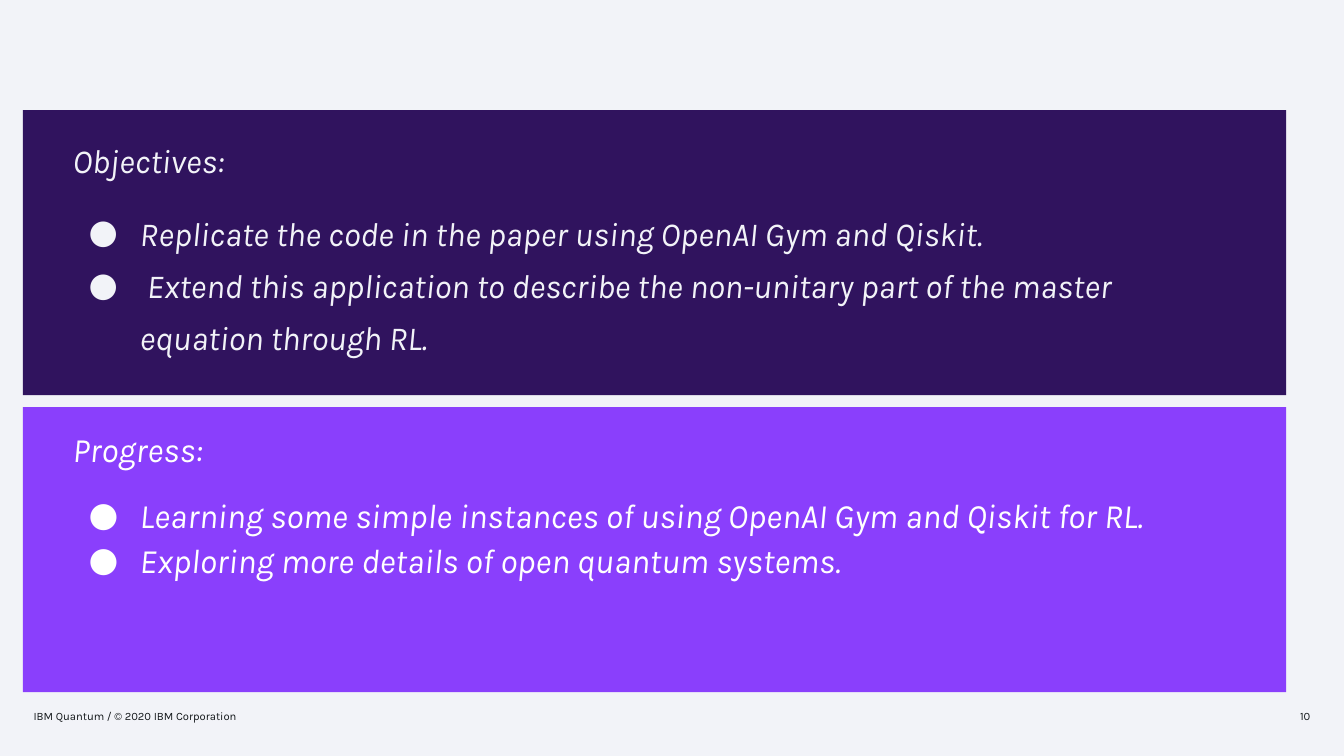
import pptx
import pptx.dml.color
import pptx.enum.shapes
import pptx.enum.text
import pptx.oxml.ns
import pptx.util
from dataclasses import dataclass
from lxml import etree
from pptx.util import Inches


@dataclass(frozen=True)
class Theme:
    font: str = "Karla"
    background: str = "F2F3F8"
    ink: str = "121619"
    dark_purple: str = "30135E"
    purple: str = "8A3FFC"
    white: str = "FFFFFF"
    footer_size: float = 6
    objectives_size: float = 18
    progress_size: float = 18.3


theme = Theme()


def add_text(left, top, width, height, lines, size, color, italic=False):
    """Add a text box without margins and return its text frame."""
    box = slide.shapes.add_textbox(Inches(left), Inches(top), Inches(width), Inches(height))
    frame = box.text_frame
    frame.word_wrap = True
    frame.margin_left = frame.margin_top = frame.margin_right = frame.margin_bottom = 0
    frame.text = "\n".join(lines)
    for paragraph in frame.paragraphs:
        for run in paragraph.runs:
            run.font.name = theme.font
            run.font.size = pptx.util.Pt(size)
            run.font.italic = italic
            run.font.color.rgb = pptx.dml.color.RGBColor.from_string(color)
    return frame


def add_bullet(paragraph, color):
    """Give a paragraph a hanging round bullet."""
    properties = paragraph._p.get_or_add_pPr()
    properties.set("marL", str(Inches(0.5)))
    properties.set("indent", str(Inches(-0.38)))
    bullet_color = etree.SubElement(properties, pptx.oxml.ns.qn("a:buClr"))
    etree.SubElement(bullet_color, pptx.oxml.ns.qn("a:srgbClr"), val=color)
    etree.SubElement(properties, pptx.oxml.ns.qn("a:buFont"), typeface=theme.font)
    etree.SubElement(properties, pptx.oxml.ns.qn("a:buChar"), char="●")


presentation = pptx.Presentation()
presentation.slide_width = Inches(10)
presentation.slide_height = Inches(10) * 9 // 16
slide = presentation.slides.add_slide(presentation.slide_layouts[6])
slide.background.fill.solid()
slide.background.fill.fore_color.rgb = pptx.dml.color.RGBColor.from_string(theme.background)

# Footer: copyright line and page number
alignments = pptx.enum.text.PP_ALIGN
for left, width, text, alignment in [
    (0.25, 4.5, "IBM Quantum / © 2020 IBM Corporation", alignments.LEFT),
    (7.75, 2, "10", alignments.RIGHT),
]:
    frame = add_text(left, 5.24, width, 0.18, [text], theme.footer_size, theme.ink)
    frame.vertical_anchor = pptx.enum.text.MSO_ANCHOR.MIDDLE
    frame.paragraphs[0].alignment = alignment

# Panels: heading followed by bullets
panels = [
    (theme.dark_purple, theme.background, theme.objectives_size, 1.3, 8.36, [
        "Objectives:",
        "Replicate the code in the paper using OpenAI Gym and Qiskit.",
        " Extend this application to describe the non-unitary part of the master "
        "equation through RL.",
    ]),
    (theme.purple, theme.white, theme.progress_size, 1.1, 8.66, [
        "Progress:",
        "Learning some simple instances of using OpenAI Gym and Qiskit for RL.",
        "Exploring more details of open quantum systems.",
    ]),
]
for index, (fill, color, size, spacing, width, lines) in enumerate(panels):
    top = 0.82 + index * 2.21
    panel = slide.shapes.add_shape(
        pptx.enum.shapes.MSO_SHAPE.RECTANGLE,
        Inches(0.17), Inches(top), Inches(9.4), Inches(2.12))
    panel.shadow.inherit = False
    panel.fill.solid()
    panel.fill.fore_color.rgb = pptx.dml.color.RGBColor.from_string(fill)
    panel.line.fill.background()

    frame = add_text(0.54, top + 0.13, width, 1.93, lines, size, color, italic=True)
    for paragraph in frame.paragraphs:
        paragraph.line_spacing = spacing
    for paragraph in frame.paragraphs[1:]:
        add_bullet(paragraph, color)
    frame.paragraphs[1].space_before = pptx.util.Pt(11)

presentation.save("out.pptx")
